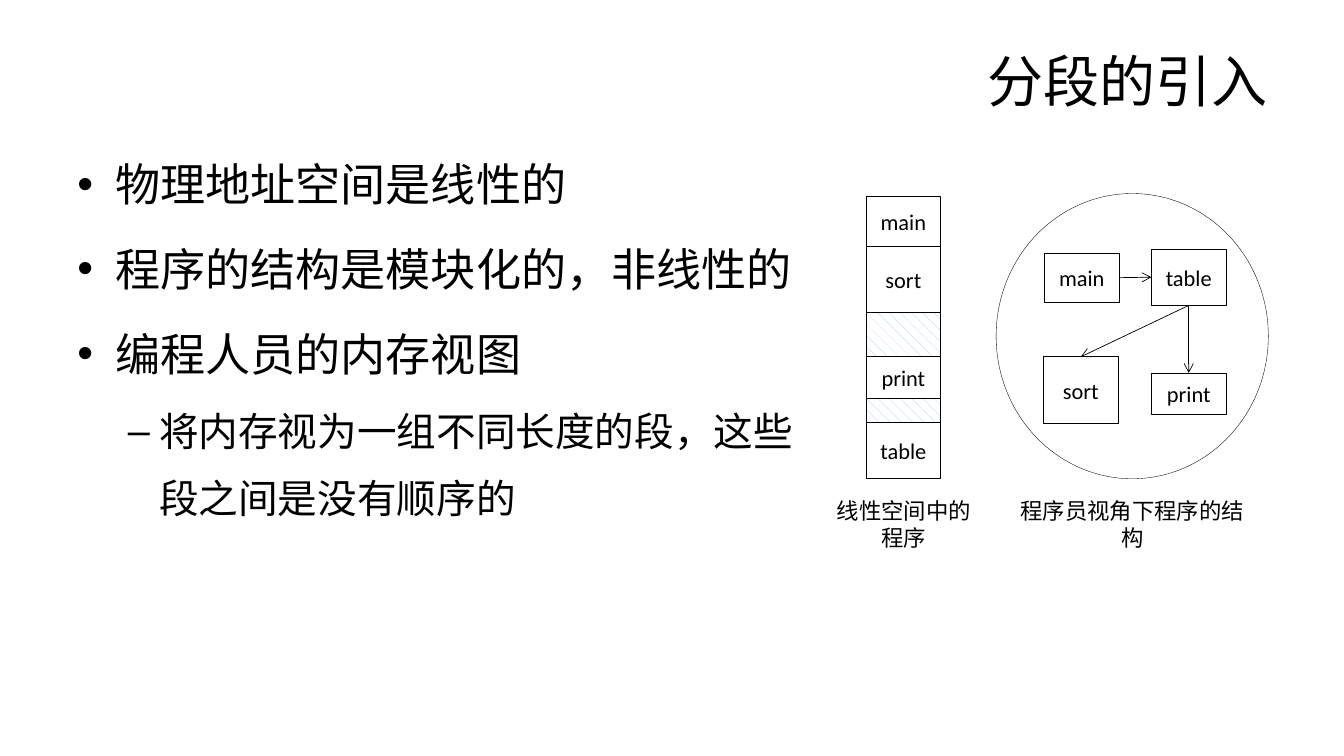
from pptx import Presentation, util as u
from pptx.dml.color import RGBColor
from pptx.enum import dml, shapes, text
from pptx.oxml.ns import qn
from lxml import etree

BLACK = RGBColor(0x00, 0x00, 0x00)
WHITE = RGBColor(0xFF, 0xFF, 0xFF)
LIGHT_BLUE = RGBColor(0x99, 0xCC, 0xFF)
CJK = "Noto Sans CJK SC"

TITLE = "分段的引入"
BULLETS = [
    ("物理地址空间是线性的", 0),
    ("程序的结构是模块化的，非线性的", 0),
    ("编程人员的内存视图", 0),
    ("将内存视为一组不同长度的段，这些段之间是没有顺序的", 1),
]
LEVELS = [
    {"size": 32.2, "mark": "•", "indent": 0.38, "hanging": 0.38, "before": 6.4},
    {"size": 28.3, "mark": "–", "indent": 0.81, "hanging": 0.31, "before": 5.7},
]
SEGMENT_HEIGHTS = {"main": 0.49, "sort": 0.66, "print": 0.41, "table": 0.56}
SEGMENT_WIDTH = 0.74
MEMORY_LEFT, MEMORY_TOP = 8.59, 1.95
MEMORY = ["main", "sort", 0.44, "print", 0.24, "table"]
MODULES = {
    "main": (10.36, 2.51),
    "sort": (10.35, 3.54),
    "print": (11.42, 3.7),
    "table": (11.42, 2.47),
}
CALLS = [("main", 3, "table", 1), ("table", 2, "sort", 0), ("table", 2, "print", 0)]
CAPTIONS = [
    ("线性空间中的程序", (8.2, 5, 1.53, 0.39)),
    ("程序员视角下程序的结构", (10.11, 5, 2.24, 0.39)),
]
PROGRAM_VIEW = (9.88, 1.92, 2.7, 2.83)
LABEL_FRAME = {
    "word_wrap": True,
    "vertical_anchor": text.MSO_ANCHOR.MIDDLE,
    "margin_left": 0,
    "margin_right": 0,
    "margin_top": 0,
    "margin_bottom": 0,
}


def inches(values):
    return [u.Inches(value) for value in values]


def apply_format(target, values):
    for name, value in values.items():
        setattr(target, name, value)


def add_text(paragraph, wording, size, font_name):
    run = paragraph.add_run()
    run.text = wording
    apply_format(run.font, {"size": u.Pt(size), "name": font_name})
    run.font.color.rgb = BLACK
    east_asian = etree.SubElement(run.font._element, qn("a:ea"))
    east_asian.set("typeface", font_name)


def add_label(shape, wording):
    apply_format(shape.text_frame, LABEL_FRAME)
    paragraph = shape.text_frame.paragraphs[0]
    paragraph.alignment = text.PP_ALIGN.CENTER
    add_text(paragraph, wording, 16, "Calibri")


def add_outline(slide, kind, box, width):
    shape = slide.shapes.add_shape(kind, *inches(box))
    shape.shadow.inherit = False
    shape.fill.background()
    shape.line.color.rgb = BLACK
    shape.line.width = u.Pt(width)
    return shape


def add_segment(slide, name, left, top):
    box = (left, top, SEGMENT_WIDTH, SEGMENT_HEIGHTS[name])
    shape = add_outline(slide, shapes.MSO_SHAPE.RECTANGLE, box, 0.5)
    add_label(shape, name)
    return shape


def add_title(slide):
    frame = slide.shapes.add_textbox(*inches((0.67, 0.3, 12, 0.99))).text_frame
    apply_format(frame, {"word_wrap": True, "vertical_anchor": text.MSO_ANCHOR.MIDDLE})
    frame.paragraphs[0].alignment = text.PP_ALIGN.RIGHT
    add_text(frame.paragraphs[0], TITLE, 40, "Arial")


def add_bullets(slide):
    frame = slide.shapes.add_textbox(*inches((0.67, 1.29, 7.55, 5.41))).text_frame
    frame.word_wrap = True
    for index, (wording, level) in enumerate(BULLETS):
        style = LEVELS[level]
        paragraph = frame.add_paragraph() if index else frame.paragraphs[0]
        before = style["before"] if index else 0
        apply_format(paragraph, {
            "level": level,
            "line_spacing": 1.4,
            "space_before": u.Pt(before),
        })
        properties = paragraph._p.get_or_add_pPr()
        properties.set("marL", str(u.Inches(style["indent"])))
        properties.set("indent", str(-u.Inches(style["hanging"])))
        etree.SubElement(properties, qn("a:buFont")).set("typeface", "Arial")
        etree.SubElement(properties, qn("a:buChar")).set("char", style["mark"])
        add_text(paragraph, wording, style["size"], CJK)


def add_memory(slide):
    top = MEMORY_TOP
    for part in MEMORY:
        height = SEGMENT_HEIGHTS.get(part, part)
        if part in SEGMENT_HEIGHTS:
            add_segment(slide, part, MEMORY_LEFT, top)
        else:
            box = (MEMORY_LEFT, top, SEGMENT_WIDTH, height)
            gap = add_outline(slide, shapes.MSO_SHAPE.RECTANGLE, box, 0.5)
            gap.fill.patterned()
            gap.fill.pattern = dml.MSO_PATTERN.SHINGLE
            gap.fill.fore_color.rgb = LIGHT_BLUE
            gap.fill.back_color.rgb = WHITE
        top += height


def add_program(slide):
    modules = {
        name: add_segment(slide, name, *place) for name, place in MODULES.items()
    }
    for caller, start, callee, end in CALLS:
        arrow = slide.shapes.add_connector(shapes.MSO_CONNECTOR.STRAIGHT, 0, 0, 0, 0)
        arrow.begin_connect(modules[caller], start)
        arrow.end_connect(modules[callee], end)
        arrow.line.color.rgb = BLACK
        arrow.line.width = u.Pt(0.5)
        etree.SubElement(arrow.line._get_or_add_ln(), qn("a:tailEnd")).set("type", "arrow")
        etree.SubElement(arrow._element.spPr, qn("a:effectLst"))
    add_outline(slide, shapes.MSO_SHAPE.OVAL, PROGRAM_VIEW, 0.25)


def main():
    presentation = Presentation()
    presentation.slide_width = u.Inches(13.33)
    presentation.slide_height = u.Inches(7.5)
    slide = presentation.slides.add_slide(presentation.slide_layouts[6])
    add_title(slide)
    add_bullets(slide)
    add_memory(slide)
    add_program(slide)
    for wording, box in CAPTIONS:
        add_label(slide.shapes.add_textbox(*inches(box)), wording)
    presentation.save("out.pptx")


if __name__ == "__main__":
    main()
